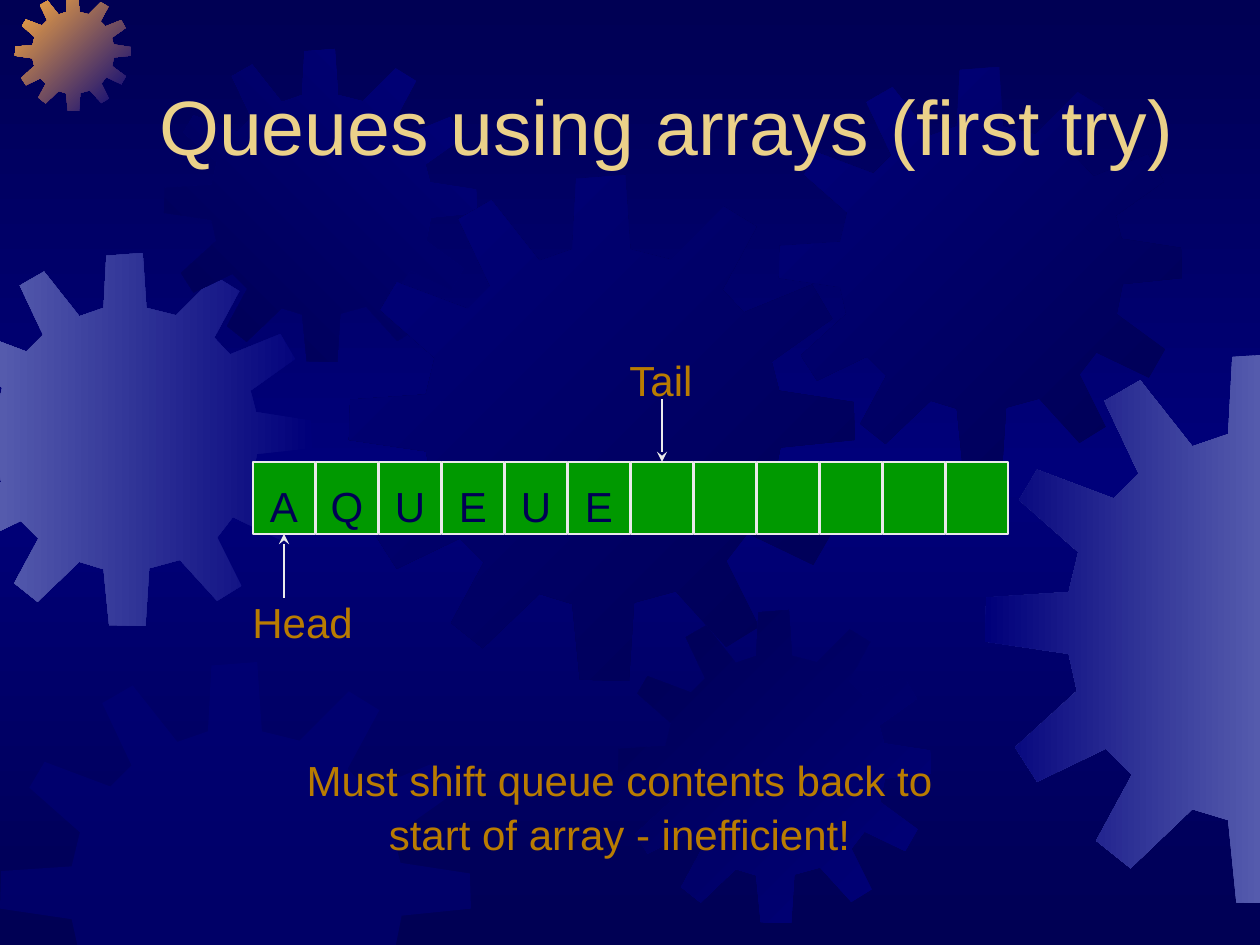
from copy import deepcopy
from dataclasses import dataclass

from lxml.etree import SubElement
from pptx import Presentation
from pptx.dml.color import RGBColor
from pptx.enum.shapes import MSO_CONNECTOR, MSO_SHAPE
from pptx.enum.text import MSO_ANCHOR, PP_ALIGN
from pptx.oxml.ns import qn
from pptx.util import Emu, Pt

PX = 914400 / 126
SLIDE_W, SLIDE_H = 1260, 945

Point = tuple[float, float]


@dataclass(frozen=True)
class Theme:
    navy: str = "000054"
    blue: str = "00007A"
    lavender: str = "555BAD"
    orange: str = "FCAB40"
    title: str = "EBD189"
    label: str = "B97C01"
    cell: str = "009900"
    line: str = "EAEAEA"
    font: str = "Arial"
    title_size: int = 44
    body_size: int = 24
    line_width: int = 1
    line_spacing: float = 1.08


@dataclass(frozen=True)
class Gear:
    """Gear in a square box; angle is clockwise, alpha is for a plain fill."""
    x: int
    y: int
    size: int
    colors: tuple[str, ...]
    angle: int = 0
    alpha: int = 100


@dataclass(frozen=True)
class Label:
    x: int
    y: int
    w: int
    h: int
    lines: tuple[str, ...]
    color: str
    size: int
    align: PP_ALIGN = PP_ALIGN.LEFT
    anchor: MSO_ANCHOR = MSO_ANCHOR.TOP
    wrap: bool = False


@dataclass(frozen=True)
class Pointer:
    """Arrow from a free start to the side site of an array cell."""
    x: int
    y: int
    cell: int
    site: int


T = Theme()

GEAR_SIZE = 401
GEAR_OUTLINE = [
    (255, 67), (223, 59), (219, 0), (180, 3), (177, 59), (151, 68),
    (113, 20), (87, 35), (112, 88), (94, 106), (38, 85), (25, 107),
    (68, 145), (61, 174), (1, 178), (0, 210), (61, 219), (67, 246),
    (22, 287), (38, 312), (88, 288), (107, 307), (81, 355), (106, 375),
    (151, 332), (177, 340), (183, 400), (222, 401), (226, 339), (259, 330),
    (299, 374), (325, 358), (299, 306), (316, 284), (368, 309), (384, 281),
    (336, 246), (342, 216), (401, 210), (400, 180), (341, 171), (335, 148),
    (383, 114), (367, 87), (313, 109), (296, 91), (323, 41), (297, 25),
]
GEARS = [
    Gear(-61, 253, 373, (T.blue, T.lavender), 180),
    Gear(15, -5, 116, (T.blue, T.orange), 225),
    Gear(164, 49, 313, (T.blue, T.navy), 135),
    Gear(349, 175, 506, (T.navy, T.blue), 225),
    Gear(0, 662, 471, (T.blue,), alpha=50),
    Gear(618, 610, 313, (T.blue, T.navy), 225),
    Gear(779, 67, 403, (T.navy, T.blue), 225),
    Gear(985, 353, 551, (T.lavender, T.blue), 180),
]

QUEUE, CELLS = "AQUEUE", 12
CELL_X, CELL_Y, CELL_W, CELL_H, CELL_PITCH = 253, 462, 62, 72, 63
LETTER_TOP = 14

LABELS = [
    Label(147, 42, 1071, 158, ("Queues using arrays (first try)",), T.title,
          T.title_size, anchor=MSO_ANCHOR.MIDDLE, wrap=True),
    Label(240, 586, 126, 63, ("Head",), T.label, T.body_size),
    Label(617, 344, 94, 63, ("Tail",), T.label, T.body_size),
    Label(294, 744, 651, 114,
          ("Must shift queue contents back to", "start of array - inefficient!"),
          T.label, T.body_size, PP_ALIGN.CENTER),
]
POINTERS = [Pointer(662, 399, len(QUEUE), 0), Pointer(284, 598, 0, 2)]


def px(n: float) -> Emu:
    return Emu(round(n * PX))


def rgb(color: str) -> RGBColor:
    return RGBColor.from_string(color)


def apply(target, formats: dict) -> None:
    for name, value in formats.items():
        setattr(target, name, value)


def set_gradient(fill, colors: tuple[str, ...], angle: int) -> None:
    fill.gradient()
    fill.gradient_angle = (360 - angle) % 360
    for i, (stop, color) in enumerate(zip(fill.gradient_stops, colors)):
        stop.position = i / (len(colors) - 1)
        stop.color.rgb = rgb(color)


def paint_background(s) -> None:
    fill = s.background.fill
    fill.gradient()
    stops = s.element.find(".//" + qn("a:gsLst"))
    stops.append(deepcopy(stops[0]))
    colors = (T.navy, T.blue, T.navy)
    fill.gradient_angle = 270
    for i, (stop, color) in enumerate(zip(fill.gradient_stops, colors)):
        stop.position = i / 2
        stop.color.rgb = rgb(color)


def clip(points: list[Point], axis: int, limit: int, sign: int) -> list[Point]:
    """Keep the part of a polygon where sign * (coordinate - limit) >= 0."""
    kept = []
    for a, b in zip(points, points[1:] + points[:1]):
        da, db = (sign * (pt[axis] - limit) for pt in (a, b))
        if da >= 0:
            kept.append(a)
        if da * db < 0:
            t = da / (da - db)
            kept.append((a[0] + t * (b[0] - a[0]), a[1] + t * (b[1] - a[1])))
    return kept


def add_gear(s, gear: Gear) -> None:
    k = gear.size / GEAR_SIZE
    points = [(gear.x + k * x, gear.y + k * y) for x, y in GEAR_OUTLINE]
    for axis, limit in enumerate((SLIDE_W, SLIDE_H)):
        points = clip(clip(points, axis, 0, 1), axis, limit, -1)
    start, *rest = [(px(x), px(y)) for x, y in points]
    builder = s.shapes.build_freeform(*start)
    builder.add_line_segments(rest, close=True)
    sp = builder.convert_to_shape()
    sp.shadow.inherit = False
    sp.line.fill.background()
    if len(gear.colors) > 1:
        set_gradient(sp.fill, gear.colors, gear.angle)
    else:
        sp.fill.solid()
        sp.fill.fore_color.rgb = rgb(gear.colors[0])
        color = sp.element.spPr.find(".//" + qn("a:srgbClr"))
        SubElement(color, qn("a:alpha"), val=str(gear.alpha * 1000))


def write(tf, lines: tuple[str, ...], color: str, size: int, align: PP_ALIGN) -> None:
    for i, line in enumerate(lines):
        p = tf.add_paragraph() if i else tf.paragraphs[0]
        apply(p, {"alignment": align, "line_spacing": T.line_spacing})
        r = p.add_run()
        r.text = line
        apply(r.font, {"name": T.font, "size": Pt(size)})
        r.font.color.rgb = rgb(color)


def add_label(s, label: Label) -> None:
    tf = s.shapes.add_textbox(*map(px, (label.x, label.y, label.w, label.h))).text_frame
    apply(tf, {"word_wrap": label.wrap, "vertical_anchor": label.anchor})
    write(tf, label.lines, label.color, label.size, label.align)


def add_cell(s, index: int, letter: str):
    box = (CELL_X + index * CELL_PITCH, CELL_Y, CELL_W, CELL_H)
    sp = s.shapes.add_shape(MSO_SHAPE.RECTANGLE, *map(px, box))
    sp.shadow.inherit = False
    sp.fill.solid()
    sp.fill.fore_color.rgb = rgb(T.cell)
    sp.line.color.rgb = rgb(T.line)
    sp.line.width = Pt(T.line_width)
    if letter:
        apply(sp.text_frame, {
            "word_wrap": False, "vertical_anchor": MSO_ANCHOR.TOP,
            "margin_left": 0, "margin_right": 0,
            "margin_top": px(LETTER_TOP), "margin_bottom": 0})
        write(sp.text_frame, (letter,), T.navy, T.body_size, PP_ALIGN.CENTER)
    return sp


def add_pointer(s, pointer: Pointer, cells: list) -> None:
    x, y = px(pointer.x), px(pointer.y)
    line = s.shapes.add_connector(MSO_CONNECTOR.STRAIGHT, x, y, x, px(CELL_Y))
    line.end_connect(cells[pointer.cell], pointer.site)
    line.line.color.rgb = rgb(T.line)
    line.line.width = Pt(T.line_width)
    SubElement(line.line._get_or_add_ln(), qn("a:tailEnd"), type="stealth")
    SubElement(line.element.spPr, qn("a:effectLst"))


def main() -> None:
    prs = Presentation()
    apply(prs, {"slide_width": px(SLIDE_W), "slide_height": px(SLIDE_H)})
    s = prs.slides.add_slide(prs.slide_layouts[6])
    paint_background(s)
    for gear in GEARS:
        add_gear(s, gear)
    cells = [add_cell(s, i, letter) for i, letter in enumerate(QUEUE.ljust(CELLS))
             for letter in [letter.strip()]]
    for label in LABELS:
        add_label(s, label)
    for pointer in POINTERS:
        add_pointer(s, pointer, cells)
    prs.save("out.pptx")


if __name__ == "__main__":
    main()
